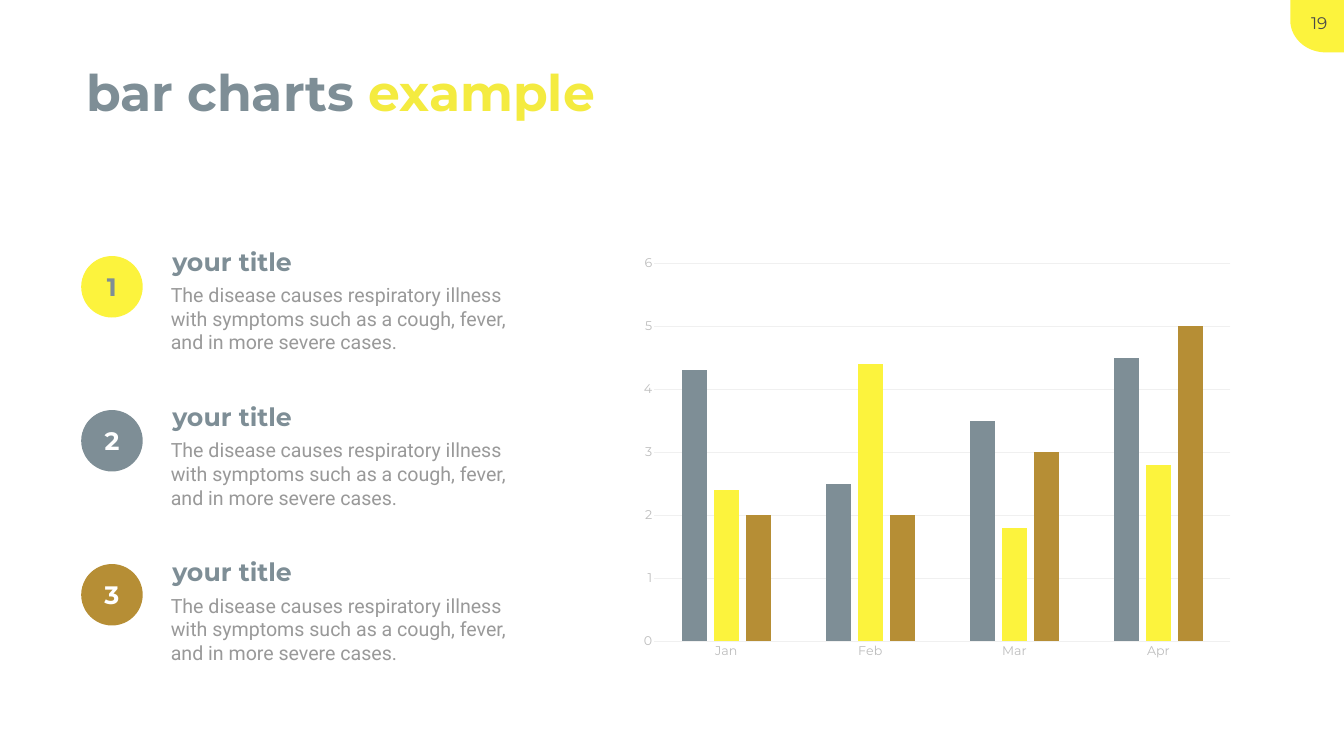
from dataclasses import dataclass
from math import cos, pi, sin

from pptx import Presentation
from pptx.chart.data import CategoryChartData
from pptx.dml.color import RGBColor
from pptx.enum.chart import XL_CHART_TYPE, XL_TICK_MARK
from pptx.enum.shapes import MSO_SHAPE
from pptx.enum.text import MSO_ANCHOR, PP_ALIGN
from pptx.util import Inches, Pt

CLUSTERED = XL_CHART_TYPE.COLUMN_CLUSTERED
NO_TICK = XL_TICK_MARK.NONE
OVAL = MSO_SHAPE.OVAL
MIDDLE = MSO_ANCHOR.MIDDLE
LEFT, CENTER = PP_ALIGN.LEFT, PP_ALIGN.CENTER


@dataclass(frozen=True)
class Theme:
    slate: str = "7E8E96"
    yellow: str = "FCF33D"
    gold: str = "B68E35"
    accent: str = "F4EB40"
    white: str = "FFFFFF"
    body: str = "999999"
    label: str = "BDBDBD"
    grid: str = "F0F0F0"
    number: str = "494949"
    heading_font: str = "Montserrat"
    body_font: str = "Roboto"
    title_size: int = 72
    heading_size: int = 36
    body_size: int = 28
    number_size: int = 24
    label_size: int = 18


def style_font(font, size, color, name, bold=False):
    font.size, font.name, font.bold = Pt(size), name, bold
    font.color.rgb = RGBColor.from_string(color)


class SlideBuilder:
    """Draws on a grid of 100 columns by 100 rows."""

    def __init__(self, presentation, theme):
        self.theme = theme
        self.column = presentation.slide_width / 100
        self.row = presentation.slide_height / 100
        self.slide = presentation.slides.add_slide(presentation.slide_layouts[6])
        self.shapes = self.slide.shapes

    def place(self, left, top, width, height):
        return (round(left * self.column), round(top * self.row),
                round(width * self.column), round(height * self.row))

    def paint(self, shape, color):
        shape.fill.solid()
        shape.fill.fore_color.rgb = RGBColor.from_string(color)
        shape.line.fill.background()
        shape.shadow.inherit = False

    def text(self, box, parts, size, font, bold=False, align=LEFT, wrap=True):
        """Write one paragraph of (wording, colour) parts."""
        frame = self.shapes.add_textbox(*self.place(*box)).text_frame
        frame.word_wrap = wrap
        paragraph = frame.paragraphs[0]
        paragraph.alignment = align
        for wording, color in parts:
            run = paragraph.add_run()
            run.text = wording
            style_font(run.font, size, color, font, bold)

    def badge(self, box, number, fill, color):
        circle = self.shapes.add_shape(OVAL, *self.place(*box))
        self.paint(circle, fill)
        frame = circle.text_frame
        frame.text = number
        frame.word_wrap = False
        frame.vertical_anchor = MIDDLE
        paragraph = frame.paragraphs[0]
        paragraph.alignment = CENTER
        style_font(paragraph.runs[0].font, self.theme.heading_size, color,
                   self.theme.heading_font, True)

    def corner_tab(self, left, bottom, radius_x, radius_y, steps=24):
        """Fill the top right corner, rounding the tab's lower left corner."""
        angles = [pi / 2 * step / steps for step in range(steps + 1)]
        curve = [(left + radius_x * (1 - sin(a)), bottom - radius_y * (1 - cos(a)))
                 for a in angles]
        outline = [(100, 0), (left, 0), *reversed(curve), (100, bottom)]
        points = [(round(x * self.column), round(y * self.row)) for x, y in outline]
        builder = self.shapes.build_freeform(*points[0])
        builder.add_line_segments(points[1:], close=True)
        self.paint(builder.convert_to_shape(), self.theme.yellow)

    def column_chart(self, box, categories, series):
        """Draw clustered columns from (name, colour, values) series."""
        theme = self.theme
        data = CategoryChartData()
        data.categories = categories
        for name, _, values in series:
            data.add_series(name, values)
        chart = self.shapes.add_chart(CLUSTERED, *self.place(*box), data).chart
        chart.has_legend = chart.has_title = False
        style_font(chart.font, theme.label_size, theme.body, theme.heading_font)

        plot = chart.plots[0]
        plot.gap_width, plot.overlap, plot.vary_by_categories = 219, -27, False
        for columns, (_, color, _) in zip(plot.series, series):
            columns.format.fill.solid()
            columns.format.fill.fore_color.rgb = RGBColor.from_string(color)

        months, scale = chart.category_axis, chart.value_axis
        for axis in (months, scale):
            axis.major_tick_mark = axis.minor_tick_mark = NO_TICK
            style_font(axis.tick_labels.font, theme.label_size, theme.label,
                       theme.heading_font)
        scale.minimum_scale, scale.maximum_scale, scale.major_unit = 0, 6, 1
        scale.format.line.fill.background()
        for line in (months.format.line, scale.major_gridlines.format.line):
            line.width = Pt(0.75)
            line.color.rgb = RGBColor.from_string(theme.grid)


def main():
    presentation = Presentation()
    presentation.slide_width, presentation.slide_height = Inches(26.66), Inches(15)
    theme = Theme()
    page = SlideBuilder(presentation, theme)

    page.corner_tab(left=96, bottom=6.93, radius_x=2.63, radius_y=4.27)
    page.text((96.32, 1.4, 3.68, 4.07), [("19", theme.number)], theme.number_size,
              theme.heading_font, align=CENTER, wrap=False)
    page.text((6.04, 7.8, 39.05, 8.73),
              [("bar charts ", theme.slate), ("example", theme.accent)],
              theme.title_size, theme.heading_font, bold=True, wrap=False)

    page.column_chart((47, 32.73, 45.46, 55.47), ["Jan", "Feb", "Mar", "Apr"], [
        ("Series 1", theme.slate, (4.3, 2.5, 3.5, 4.5)),
        ("Series 2", theme.yellow, (2.4, 4.4, 1.8, 2.8)),
        ("Series 3", theme.gold, (2, 2, 3, 5)),
    ])

    description = ("The disease causes respiratory illness with symptoms such as "
                   "a cough, fever, and in more severe cases.")
    badge_colors = [(theme.yellow, theme.slate), (theme.slate, theme.white),
                    (theme.gold, theme.white)]
    text_pitch, badge_pitch = 20.53, 20.37
    for index, (fill, color) in enumerate(badge_colors):
        shift = index * text_pitch
        page.text((12.45, 32.2 + shift, 20.07, 4.73), [("your title", theme.slate)],
                  theme.heading_size, theme.heading_font, bold=True)
        page.text((12.34, 37.13 + shift, 27.68, 10.07), [(description, theme.body)],
                  theme.body_size, theme.body_font)
        page.badge((6.04, 33.87 + index * badge_pitch, 4.58, 8.13),
                   str(index + 1), fill, color)

    presentation.save("out.pptx")


if __name__ == "__main__":
    main()
